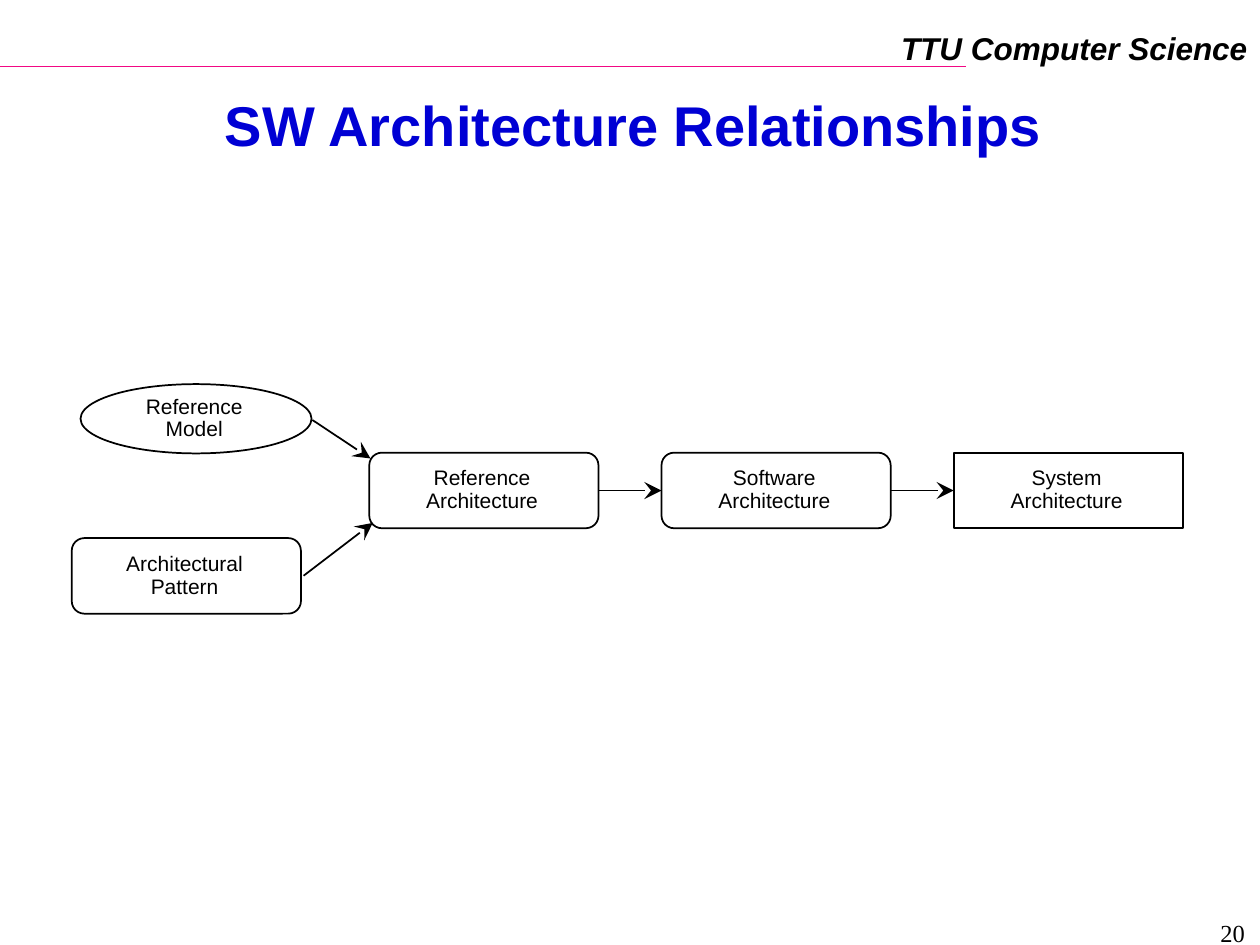
from lxml import etree
from pptx import Presentation
from pptx.dml.color import RGBColor
from pptx.enum.shapes import MSO_CONNECTOR, MSO_SHAPE
from pptx.enum.text import MSO_ANCHOR, PP_ALIGN
from pptx.oxml.ns import qn
from pptx.util import Pt

BLACK = RGBColor(0x00, 0x00, 0x00)
BLUE = RGBColor(0x00, 0x00, 0xD4)
PINK = RGBColor(0xF2, 0x08, 0x84)
CENTER, RIGHT = PP_ALIGN.CENTER, PP_ALIGN.RIGHT
TOP, MIDDLE = MSO_ANCHOR.TOP, MSO_ANCHOR.MIDDLE
OVAL, ROUNDED, RECTANGLE = MSO_SHAPE.OVAL, MSO_SHAPE.ROUNDED_RECTANGLE, MSO_SHAPE.RECTANGLE
STRAIGHT = MSO_CONNECTOR.STRAIGHT

prs = Presentation()
prs.slide_width, prs.slide_height = Pt(720), Pt(540)
slide = prs.slides.add_slide(prs.slide_layouts[6])


def add_text(lines, box, align, spacing, font_format, wrap=False, anchor=TOP):
    frame = slide.shapes.add_textbox(*map(Pt, box)).text_frame
    frame.word_wrap = wrap
    frame.vertical_anchor = anchor
    frame.text = "\n".join(lines)
    for paragraph in frame.paragraphs:
        paragraph.alignment = align
        paragraph.line_spacing = spacing
        paragraph.font.color.rgb = font_format["color"]
        for key, value in font_format.items():
            if key != "color":
                setattr(paragraph.font, key, value)


def add_line(start, end, color):
    line = slide.shapes.add_connector(STRAIGHT, *map(Pt, start + end))
    line.line.color.rgb = color
    line.line.width = Pt(1)
    etree.SubElement(line._element.spPr, qn("a:effectLst"))
    return line


# Header, title and page number
HEADER_FONT = {"name": "Arial", "size": Pt(18), "bold": True, "italic": True, "color": BLACK}
TITLE_FONT = {"name": "Arial", "size": Pt(32), "bold": True, "color": BLUE}
LABEL_FONT = {"name": "Arial", "size": Pt(12), "color": BLACK}
PAGE_FONT = {"name": "Times New Roman", "size": Pt(14), "color": BLACK}

add_line((0, 38), (552, 38), PINK)
add_text(["TTU Computer Science"], (507.6, 13, 212.4, 29), RIGHT, 1, HEADER_FONT)
add_text(["SW Architecture Relationships"], (56, 63.4, 612, 21), CENTER, 0.87,
         TITLE_FONT, wrap=True, anchor=MIDDLE)

# Diagram nodes: the three architectures stand in one row at equal steps
NODE_W, NODE_H = 131, 43.2
ROW_LEFT, ROW_TOP, STEP = 211, 258.7, 167
LABEL_H = 33

nodes = [
    (OVAL, ["Reference", "Model"], 46, 219.5, 132, 39.6, 70),
    (ROUNDED, ["Architectural", "Pattern"], 41, 307.5, NODE_W, NODE_H, 81),
]
row = [(ROUNDED, "Reference"), (ROUNDED, "Software"), (RECTANGLE, "System")]
for column, (outline, kind) in enumerate(row):
    nodes.append((outline, [kind, "Architecture"], ROW_LEFT + column * STEP, ROW_TOP,
                  NODE_W, NODE_H, 78.5))

for outline, label, left, top, width, height, label_width in nodes:
    node = slide.shapes.add_shape(outline, Pt(left), Pt(top), Pt(width), Pt(height))
    node.shadow.inherit = False
    node.fill.background()
    node.line.color.rgb = BLACK
    node.line.width = Pt(1)
    label_left = left + (width - label_width) / 2 - 1
    label_top = top + (height - LABEL_H) / 2
    add_text(label, (label_left, label_top, label_width, LABEL_H), CENTER, 0.9, LABEL_FONT)

# Arrows between the nodes
row_middle = ROW_TOP + NODE_H / 2
arrows = [((178.5, 240), (211.7, 262)), ((173.5, 329), (213, 298.8))]
for column in range(len(row) - 1):
    node_left = ROW_LEFT + column * STEP
    arrows.append(((node_left + NODE_W, row_middle), (node_left + STEP, row_middle)))

for start, end in arrows:
    arrow = add_line(start, end, BLACK)
    etree.SubElement(arrow.line._get_or_add_ln(), qn("a:tailEnd"),
                     type="stealth", w="lg", len="lg")

add_text(["20"], (551, 521.3, 167.5, 16), RIGHT, 1, PAGE_FONT, wrap=True)

prs.save("out.pptx")
